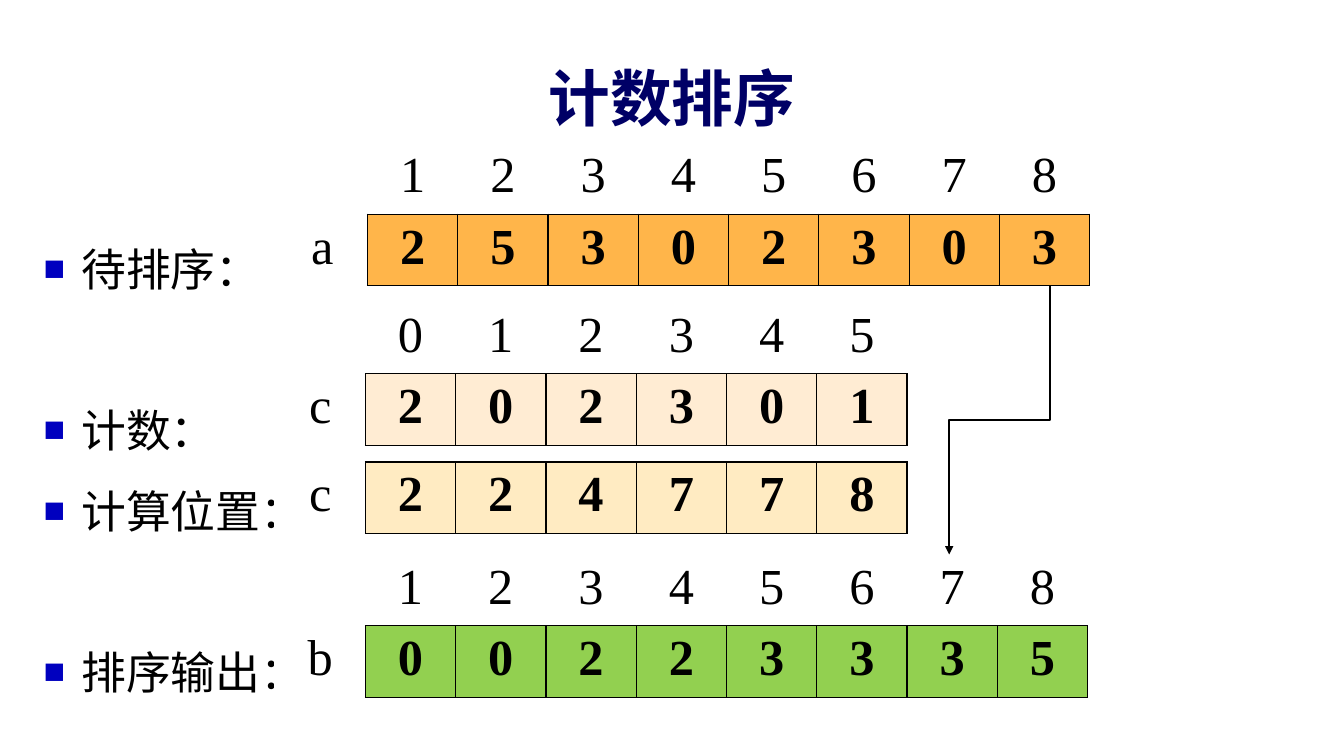
from lxml import etree
from pptx import Presentation
from pptx.dml.color import RGBColor
from pptx.enum.shapes import MSO_CONNECTOR
from pptx.enum.text import MSO_ANCHOR, MSO_AUTO_SIZE, PP_ALIGN
from pptx.oxml.ns import qn
from pptx.util import Pt

ELBOW = MSO_CONNECTOR.ELBOW
MIDDLE = MSO_ANCHOR.MIDDLE
NO_FIT = MSO_AUTO_SIZE.NONE
CENTER = PP_ALIGN.CENTER

PX = 9525
COL_W, ROW_H = 86, 68
TITLE_ONLY = 5

THEME = {
    "cjk": "Noto Sans CJK SC", "serif": "Times New Roman",
    "title_size": 44, "body_size": 32, "cell_size": 36,
    "title": "000066", "text": "000000", "bullet": "0000BF",
    "paper": "FFFFFF", "input": "FFB54A", "count": "FFECD3",
    "position": "FFEBC2", "output": "92D050",
}


def style_run(p, size, color, font, bold=False):
    r = p.runs[0]
    r.font.size = Pt(size)
    r.font.bold = bold
    r.font.color.rgb = RGBColor.from_string(color)
    r.font.name = font
    etree.SubElement(r.font._element, qn("a:ea"), typeface=font)


def set_borders(cell, **colors):
    """Draw 1 pt borders; the keys L, R, T, B must come in that order."""
    tcPr = cell._tc.get_or_add_tcPr()
    for side, color in colors.items():
        ln = etree.SubElement(tcPr, qn(f"a:ln{side}"), w=str(Pt(1)))
        fill = etree.SubElement(ln, qn("a:solidFill"))
        etree.SubElement(fill, qn("a:srgbClr"), val=color)


prs = Presentation()
prs.slide_width, prs.slide_height = 1280 * PX, 720 * PX
s = prs.slides.add_slide(prs.slide_layouts[TITLE_ONLY])

# Title
title = s.shapes.title
title.left, title.top, title.width, title.height = (v * PX for v in (96, 56, 1088, 72))
tf = title.text_frame
tf.text = "计数排序"
tf.auto_size = NO_FIT
tf.vertical_anchor = MIDDLE
tf.paragraphs[0].alignment = CENTER
style_run(tf.paragraphs[0], THEME["title_size"], THEME["title"], THEME["cjk"], True)

# Step names, with the space before each in points
STEPS = [("待排序：", 0), ("计数：", 57.5), ("计算位置：", 0), ("排序输出：", 57.5)]
tf = s.shapes.add_textbox(32 * PX, 200 * PX, 1216 * PX, 480 * PX).text_frame
tf.word_wrap = True
for i, (step, gap) in enumerate(STEPS):
    p = tf.add_paragraph() if i else tf.paragraphs[0]
    p.text = step
    pPr = p._p.get_or_add_pPr()
    pPr.set("marL", str(36 * PX))
    pPr.set("indent", str(-36 * PX))
    color = etree.SubElement(pPr, qn("a:buClr"))
    etree.SubElement(color, qn("a:srgbClr"), val=THEME["bullet"])
    etree.SubElement(pPr, qn("a:buSzPct"), val="80000")
    etree.SubElement(pPr, qn("a:buFont"), typeface=THEME["serif"])
    etree.SubElement(pPr, qn("a:buChar"), char="■")
    p.line_spacing = 1.5
    p.space_before = Pt(gap)
    style_run(p, THEME["body_size"], THEME["text"], THEME["cjk"])

# Arrays: left, top, name, first index (None for no index row), values, fill
ARRAYS = [
    (264, 136, "a", 1, "25302303", "input"),
    (262, 288, "c", 0, "202301", "count"),
    (262, 440, "c", None, "224778", "position"),
    (262, 528, "b", 1, "00223335", "output"),
]
for left, top, name, first, values, fill in ARRAYS:
    rows = [[name, *values]]
    if first is not None:
        rows.insert(0, ["", *(str(first + i) for i in range(len(values)))])
    n_rows, n_cols = len(rows), len(values) + 1
    table = s.shapes.add_table(n_rows, n_cols, left * PX, top * PX,
                               n_cols * COL_W * PX, n_rows * ROW_H * PX).table
    table.first_row = table.horz_banding = False
    for i, row in enumerate(rows):
        table.rows[i].height = ROW_H * PX
        for j, text in enumerate(row):
            cell = table.cell(i, j)
            in_array = i == n_rows - 1 and j > 0
            outer = THEME["text"] if in_array else THEME["paper"]
            right = THEME["text"] if i == n_rows - 1 else outer
            bottom = THEME["text"] if j > 0 else outer
            set_borders(cell, L=outer, R=right, T=outer, B=bottom)
            cell.fill.solid()
            cell.fill.fore_color.rgb = RGBColor.from_string(
                THEME[fill if in_array else "paper"])
            if text:
                cell.text = text
                p = cell.text_frame.paragraphs[0]
                p.alignment = CENTER
                style_run(p, THEME["cell_size"], THEME["text"], THEME["serif"], in_array)

# Arrow from the last input value to its output index, a quarter turn of an elbow
arrow = s.shapes.add_connector(ELBOW, 824 * PX, 352 * PX, 1080 * PX, 448 * PX)
spPr = arrow._element.spPr
spPr.find(qn("a:xfrm")).set("rot", "5400000")
arrow.line.width = Pt(1)
arrow.line.color.rgb = RGBColor.from_string(THEME["text"])
etree.SubElement(spPr.find(qn("a:ln")), qn("a:tailEnd"), type="triangle")
etree.SubElement(spPr, qn("a:effectLst"))

prs.save("out.pptx")
